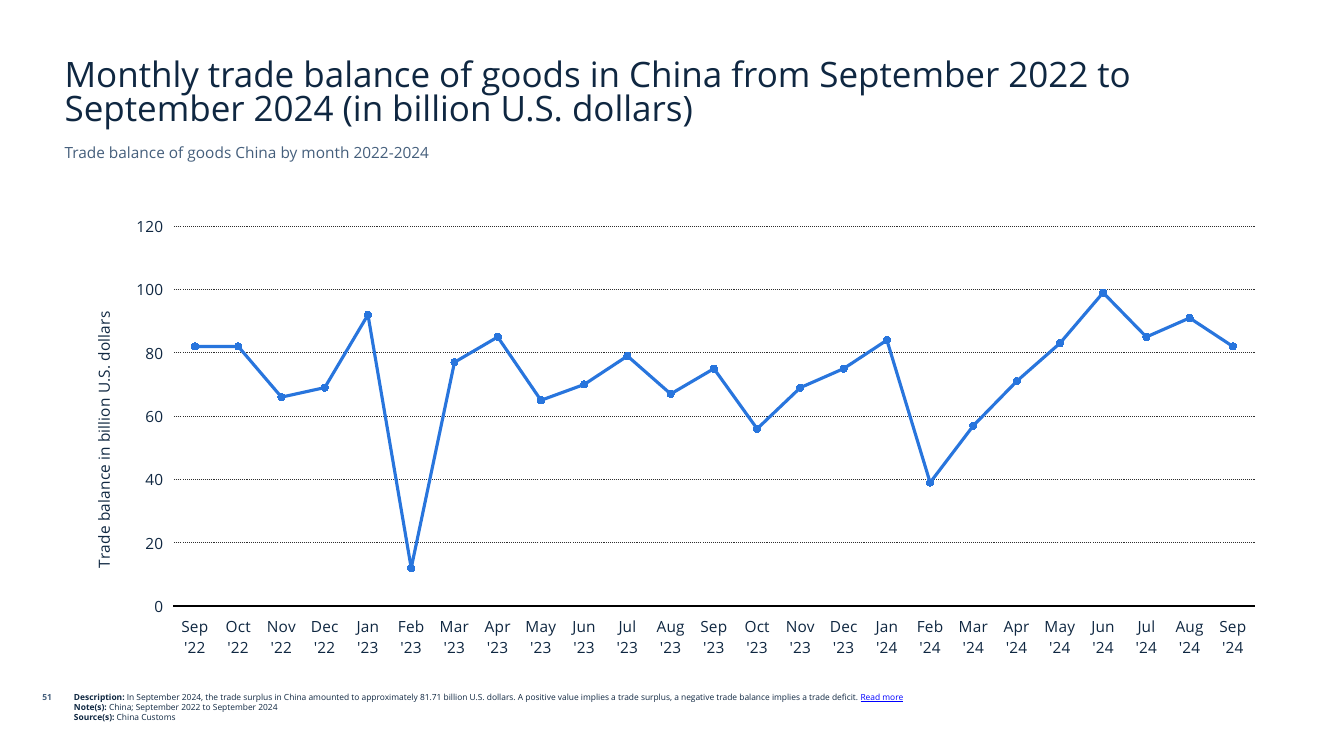
"""Build a slide with a line chart of China's monthly trade balance of goods."""
from dataclasses import dataclass
from typing import Optional

from lxml.etree import SubElement
from pptx import Presentation
from pptx.chart.data import CategoryChartData
from pptx.dml.color import RGBColor
from pptx.enum.chart import XL_CHART_TYPE as ChartType
from pptx.enum.chart import XL_MARKER_STYLE as MarkerStyle
from pptx.enum.chart import XL_TICK_LABEL_POSITION as LabelPosition
from pptx.enum.chart import XL_TICK_MARK as TickMark
from pptx.enum.dml import MSO_LINE as Dash
from pptx.enum.text import MSO_ANCHOR as Anchor
from pptx.enum.text import MSO_AUTO_SIZE as AutoSize
from pptx.enum.text import PP_ALIGN as Align
from pptx.oxml.ns import qn
from pptx.util import Emu, Pt

PX = 9525
FONT = "Open Sans"
NAVY, SLATE, BLUE, LINK = "0F2741", "455F7C", "2875DD", "0000FF"
BLACK, GRID = "000000", "2F2F2F"
MONTHS = "Jan Feb Mar Apr May Jun Jul Aug Sep Oct Nov Dec".split()
FIRST_MONTH, FIRST_YEAR = 8, 22
BALANCES = (82, 82, 66, 69, 92, 12, 77, 85, 65, 70, 79, 67, 75,
            56, 69, 75, 84, 39, 57, 71, 83, 99, 85, 91, 82)


@dataclass(frozen=True)
class Box:
    """A place on the slide in px."""
    left: int
    top: int
    width: int
    height: int

    def emu(self) -> tuple:
        """Return the place as EMU lengths."""
        return tuple(Emu(side * PX) for side in (self.left, self.top, self.width, self.height))


@dataclass(frozen=True)
class Span:
    """A piece of text with its own format."""
    text: str
    color: str = NAVY
    size: int = 6
    bold: bool = False
    underline: bool = False


@dataclass(frozen=True)
class TextBlock:
    """A text box and its paragraphs of spans."""
    box: Box
    paras: tuple
    align: Align = Align.LEFT


TITLE_BOX = Box(52, 44, 1175, 83)
CHART_BOX = Box(61, 198, 1157, 436)
TITLE = Span("Monthly trade balance of goods in China from September 2022 to "
             "September 2024 (in billion U.S. dollars)", size=25)
AXIS_TITLE = Span("Trade balance in billion U.S. dollars", size=11)
BLOCKS = (
    TextBlock(Box(61, 654, 1005, 56), (
        (Span("Description: ", bold=True),
         Span("In September 2024, the trade surplus in China amounted to approximately "
              "81.71 billion U.S. dollars. A positive value implies a trade surplus, "
              "a negative trade balance implies a trade deficit. "),
         Span("Read more", LINK, underline=True)),
        (Span("Note(s): ", bold=True), Span("China; September 2022 to September 2024")),
        (Span("Source(s): ", bold=True), Span("China Customs")),
    )),
    TextBlock(Box(0, 654, 59, 29), ((Span("51", SLATE, bold=True),),), Align.RIGHT),
    TextBlock(Box(52, 132, 1175, 33),
              ((Span("Trade balance of goods China by month 2022-2024", SLATE, 11),),)),
)


def rgb(color: str) -> RGBColor:
    """Turn a hex string into a colour."""
    return RGBColor.from_string(color)


def format_font(font, *, size: int, color: str, bold: bool = False,
                underline: bool = False) -> None:
    """Set face, size, colour and style of a font."""
    font.name, font.size, font.bold, font.underline = FONT, Pt(size), bold, underline
    font.color.rgb = rgb(color)


def write_text(frame, paras: tuple, *, align: Align = Align.LEFT,
               anchor: Optional[Anchor] = Anchor.TOP, spacing: float = 1.0) -> None:
    """Fill a text frame with formatted paragraphs."""
    frame.word_wrap, frame.auto_size, frame.vertical_anchor = True, AutoSize.NONE, anchor
    for index, spans in enumerate(paras):
        para = frame.add_paragraph() if index else frame.paragraphs[0]
        para.alignment, para.line_spacing = align, spacing
        for span in spans:
            run = para.add_run()
            run.text = span.text
            format_font(run.font, size=span.size, color=span.color, bold=span.bold,
                        underline=span.underline)


def set_line(line, color: str, width: float) -> None:
    """Set colour and width in points of a line."""
    line.color.rgb, line.width = rgb(color), Pt(width)


def place(parent, layout, **factors) -> None:
    """Give a chart part a manual layout as fractions of the chart."""
    manual = SubElement(layout, qn("c:manualLayout"))
    if "w" in factors:
        SubElement(manual, qn("c:layoutTarget")).set("val", "inner")
    for side in ("x", "y"):
        SubElement(manual, qn(f"c:{side}Mode")).set("val", "edge")
    for name, factor in factors.items():
        SubElement(manual, qn(f"c:{name}")).set("val", str(factor))


def part_layout(part, position: int):
    """Return the empty layout element of a chart part, made anew."""
    for old in part.findall(qn("c:layout")):
        part.remove(old)
    layout = SubElement(part, qn("c:layout"))
    part.insert(position, layout)
    return layout


def month_labels(count: int) -> list:
    """Name successive months with their short year."""
    steps = (divmod(FIRST_MONTH + step, 12) for step in range(count))
    return [f"{MONTHS[month]} '{FIRST_YEAR + year}" for year, month in steps]


def format_axes(chart) -> None:
    """Format both axes, the gridlines and the axis title."""
    months, values = chart.category_axis, chart.value_axis
    for axis in (months, values):
        axis.major_tick_mark = axis.minor_tick_mark = TickMark.NONE
        axis.tick_label_position = LabelPosition.LOW
        format_font(axis.tick_labels.font, size=11, color=NAVY)
    months.has_major_gridlines = False
    set_line(months.format.line, BLACK, 2)
    values.minimum_scale, values.maximum_scale, values.major_unit = 0, 120, 20
    values.tick_labels.number_format = "#,##0"
    values.tick_labels.number_format_is_linked = False
    values.format.line.fill.background()
    values.has_major_gridlines = True
    grid = values.major_gridlines.format.line
    set_line(grid, GRID, 0.75)
    grid.dash_style = Dash.ROUND_DOT
    title = values.axis_title
    para = title.text_frame.paragraphs[0]
    run = para.add_run()
    run.text = AXIS_TITLE.text
    format_font(run.font, size=AXIS_TITLE.size, color=AXIS_TITLE.color)
    title_part = values._element.find(qn("c:title"))
    title_part.find(qn("c:tx")).find(qn("c:rich")).find(qn("a:bodyPr")).set("rot", "-5400000")
    place(title_part, part_layout(title_part, 1), x=0.02, y=0.22)


def add_balance_chart(page) -> None:
    """Draw the monthly balances as a line with markers."""
    data = CategoryChartData(number_format="General")
    data.categories = month_labels(len(BALANCES))
    data.add_series("Series 1", BALANCES)
    chart = page.shapes.add_chart(ChartType.LINE_MARKERS, *CHART_BOX.emu(), data).chart
    chart.has_legend = chart.has_title = False
    format_font(chart.font, size=11, color=NAVY)
    plot = chart.plots[0]
    plot.vary_by_categories = False
    series = plot.series[0]
    series.smooth = False
    set_line(series.format.line, BLUE, 2.25)
    series.marker.style, series.marker.size = MarkerStyle.CIRCLE, 5
    series.marker.format.fill.solid()
    series.marker.format.fill.fore_color.rgb = rgb(BLUE)
    set_line(series.marker.format.line, BLUE, 0.75)
    format_axes(chart)
    area = chart._chartSpace.chart.plotArea
    place(area, part_layout(area, 0), x=0.09, y=0.04, w=0.89, h=0.83)


def main() -> None:
    """Build and save the deck."""
    deck = Presentation()
    deck.slide_width, deck.slide_height = Emu(1280 * PX), Emu(720 * PX)
    page = deck.slides.add_slide(deck.slide_layouts[5])
    title = page.shapes.title
    title.left, title.top, title.width, title.height = TITLE_BOX.emu()
    write_text(title.text_frame, ((TITLE,),), anchor=Anchor.BOTTOM, spacing=0.8)
    add_balance_chart(page)
    for block in BLOCKS:
        frame = page.shapes.add_textbox(*block.box.emu()).text_frame
        write_text(frame, block.paras, align=block.align)
    deck.save("out.pptx")


if __name__ == "__main__":
    main()
